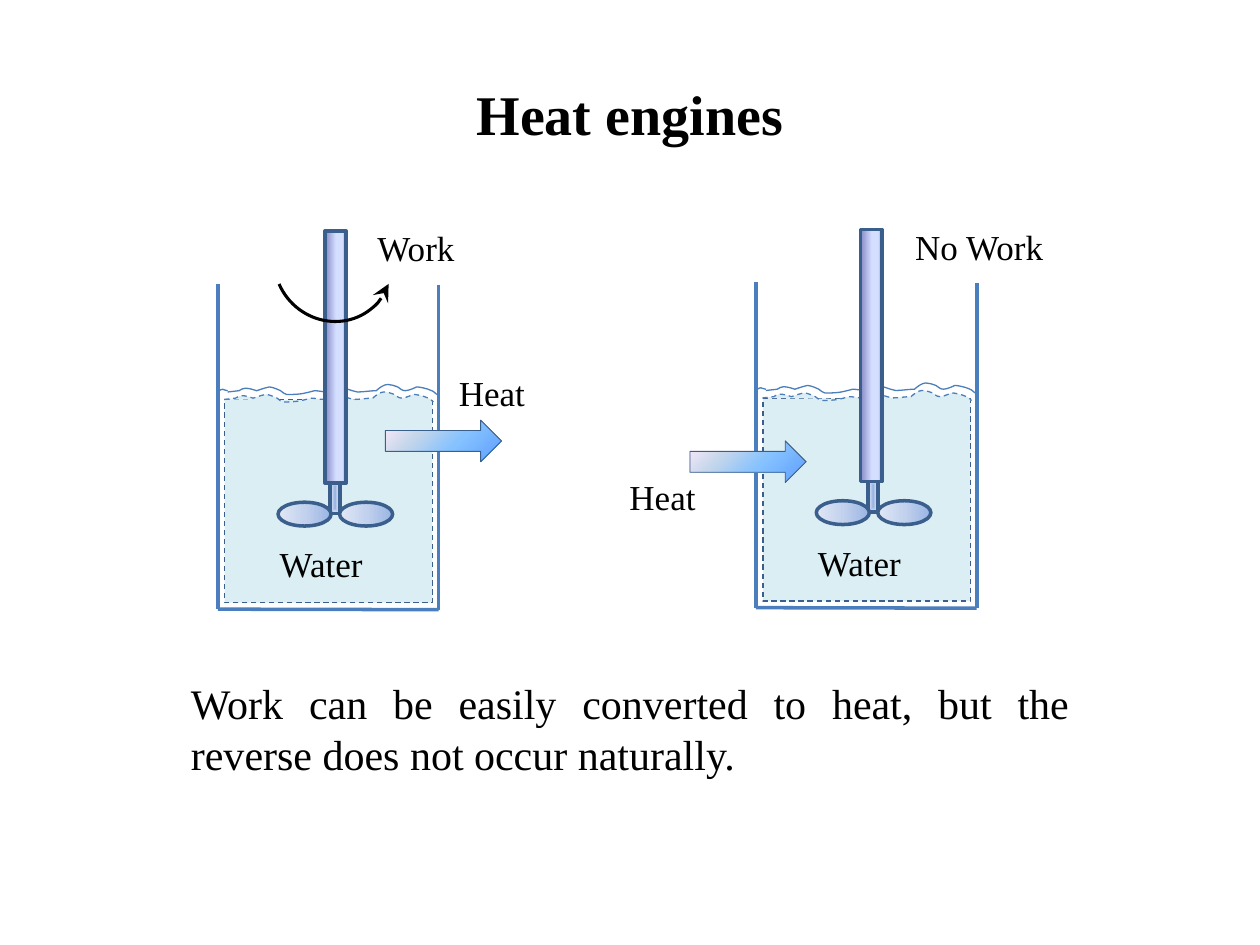
from dataclasses import dataclass, field

from lxml.etree import SubElement
from pptx import Presentation
from pptx.dml.color import RGBColor
from pptx.enum.dml import MSO_LINE_DASH_STYLE as Dash
from pptx.enum.shapes import MSO_CONNECTOR as Connector, MSO_SHAPE as Preset
from pptx.enum.text import PP_ALIGN as Align
from pptx.oxml.ns import qn
from pptx.slide import Slide
from pptx.util import Cm, Pt

COLORS = {"text": "000000", "glass": "4B7EBC", "edge": "3A5F8C", "water": "DBEEF4"}
BLADE = [(0, "9AB5E4"), (50, "C2D1ED"), (100, "E1E8F5")]
SHAFT = [(0, "8488C4"), (53, "D4DEFF"), (83, "D4DEFF"), (100, "96AB94")]
HEAT = [(0, "5E9EFF"), (40, "85C2FF"), (70, "C4D6EB"), (100, "FFEBFA")]
WAVE_UNIT = Cm(0.0254)
WAVE = [
    (0, 6), (3, 6), (6, 5), (9, 5), (11, 4), (12, 3), (14, 3), (17, 3), (20, 4), (23, 5),
    (25, 4), (27, 4), (29, 3), (30, 3), (32, 2), (33, 2), (36, 2), (42, 5), (42, 5),
    (44, 6), (45, 8), (47, 8), (59, 8), (61, 7), (69, 5), (72, 5), (76, 6), (79, 6),
    (85, 6), (88, 5), (93, 3), (95, 4), (97, 4), (99, 5), (100, 5), (102, 6), (103, 6),
    (108, 6), (113, 5), (118, 5), (120, 3), (124, 0), (127, 0), (130, 0), (132, 1), (135, 2),
    (137, 3), (138, 5), (141, 5), (144, 5), (150, 2), (150, 2), (152, 2), (158, 3), (162, 5),
    (163, 5), (166, 8), (166, 8),
]
RIPPLE = [(0, 5), (-5, 4), (-3, 3), (-7, 5)]


@dataclass
class Diagram:
    """Draws styled elements on one slide, with lengths in centimetres."""

    slide: Slide
    font: str = "Times New Roman"
    colors: dict = field(default_factory=lambda: COLORS)

    def text(self, content, left, top, width, height, size=20, align=Align.LEFT, bold=False):
        """Add a wrapped text box."""
        box = self.slide.shapes.add_textbox(Cm(left), Cm(top), Cm(width), Cm(height))
        frame = box.text_frame
        frame.word_wrap = True
        frame.text = content
        paragraph = frame.paragraphs[0]
        paragraph.alignment = align
        font = paragraph.runs[0].font
        font.name, font.size, font.bold = self.font, Pt(size), bold
        font.color.rgb = RGBColor.from_string(self.colors["text"])

    def outline(self, shape, color, width, dashed=False):
        """Set the line of a shape."""
        shape.line.color.rgb = RGBColor.from_string(self.colors[color])
        shape.line.width = Pt(width)
        if dashed:
            shape.line.dash_style = Dash.DASH

    def paint(self, shape, fill):
        """Fill with a named colour, or leave empty, without a shadow."""
        shape.shadow.inherit = False
        if fill:
            shape.fill.solid()
            shape.fill.fore_color.rgb = RGBColor.from_string(self.colors[fill])
        else:
            shape.fill.background()

    def gradient(self, shape, stops, angle=0, path=None, center=()):
        """Fill with a linear gradient, or a path gradient around a centre."""
        shape.fill.gradient()
        fill = shape._element.spPr.find(qn("a:gradFill"))
        for child in list(fill):
            fill.remove(child)
        stop_list = SubElement(fill, qn("a:gsLst"))
        for position, color in stops:
            stop = SubElement(stop_list, qn("a:gs"), pos=str(position * 1000))
            SubElement(stop, qn("a:srgbClr"), val=color)
        if path:
            focus = SubElement(fill, qn("a:path"), path=path)
            sides = {side: str(value * 1000) for side, value in zip("ltrb", center)}
            SubElement(focus, qn("a:fillToRect"), **sides)
        else:
            SubElement(fill, qn("a:lin"), ang=str(angle * 60000), scaled="0")

    def shape(self, preset, left, top, width, height, fill=None, edge="edge", weight=2.0,
              dashed=False, rotation=0):
        """Add a preset shape."""
        shape = self.slide.shapes.add_shape(preset, Cm(left), Cm(top), Cm(width), Cm(height))
        shape.rotation = rotation
        self.paint(shape, fill)
        self.outline(shape, edge, weight, dashed)
        return shape

    def line(self, x1, y1, x2, y2):
        """Add a straight glass wall."""
        line = self.slide.shapes.add_connector(Connector.STRAIGHT, Cm(x1), Cm(y1), Cm(x2), Cm(y2))
        self.outline(line, "glass", 2)
        SubElement(line._element.spPr, qn("a:effectLst"))

    def curve(self, controls, left, top, fill=None, dashed=False):
        """Add an open curve from cubic control points."""
        first, *rest = controls
        builder = self.slide.shapes.build_freeform(*first, scale=WAVE_UNIT)
        builder.add_line_segments(rest, close=False)
        shape = builder.convert_to_shape(Cm(left), Cm(top))
        segments = list(shape._element.iter(qn("a:lnTo")))
        outline = segments[0].getparent()
        for i in range(0, len(segments), 3):
            cubic = SubElement(outline, qn("a:cubicBezTo"))
            for segment in segments[i:i + 3]:
                cubic.append(segment[0])
                outline.remove(segment)
        self.paint(shape, fill)
        self.outline(shape, "glass", 0.75, dashed)

    def beaker(self, x, y, shaft):
        """Add a beaker of water with a paddle, from its upper left corner."""
        right, bottom = x + 4.45, y + 6.56
        self.curve(WAVE, x + 0.2, y + 2.03)
        self.shape(Preset.RECTANGLE, x + 0.14, y + 2.34, 4.19, 4.09, "water", weight=0.75, dashed=True)
        self.line(x, y, x, bottom)
        self.line(right, y + 0.02, right, bottom + 0.01)
        self.line(x, bottom, right, bottom + 0.01)
        hub = self.shape(Preset.RECTANGLE, x + 2.04, y + 4.21, 0.64, 0.2, rotation=90)
        self.gradient(hub, BLADE, path="shape", center=(50, 50, 50, 50))
        for offset in (2.75, 1.51):
            blade = self.shape(Preset.OVAL, x + offset, y + 4.11, 0.48, 1.07, rotation=90)
            self.gradient(blade, BLADE, angle=90)
        self.curve(RIPPLE, x + 0.2, y + 2.03)
        self.curve(WAVE, x + 0.13, y + 2.18, "water", dashed=True)
        rod = self.shape(Preset.RECTANGLE, x + shaft, y - 1.06, 0.43, 5.08)
        self.gradient(rod, SHAFT)
        self.text("Water", x + 1, y + 5.1, 2.97, 1.12)

    def turn_arrow(self, left, top, width, height):
        """Add the curved arrow around the shaft."""
        arc = self.shape(Preset.ARC, left, top, width, height, edge="text", weight=1.75, rotation=141.4)
        arc.adjustments[0], arc.adjustments[1] = 144.085, 9.753
        SubElement(arc.line._get_or_add_ln(), qn("a:headEnd"), type="stealth", w="lg", len="lg")

    def heat_arrow(self, left, top):
        """Add a heat arrow."""
        arrow = self.shape(Preset.RIGHT_ARROW, left, top, 2.34, 0.84, weight=0.5)
        self.gradient(arrow, HEAT, path="circle", center=(100, 100, 0, 0))


def main():
    """Build the slide."""
    presentation = Presentation()
    presentation.slide_width, presentation.slide_height = Cm(25.4), Cm(19.05)
    diagram = Diagram(presentation.slides.add_slide(presentation.slide_layouts[6]))
    diagram.text("Heat engines", 1.27, 1.47, 22.86, 2.46, 32, Align.CENTER, bold=True)

    diagram.beaker(4.39, 5.72, shaft=2.16)
    diagram.turn_arrow(5.54, 4.06, 2.34, 2.44)
    diagram.text("Work", 7.36, 4.45, 3.61, 1.12)
    diagram.text("Heat", 9, 7.37, 2.64, 1.12)
    diagram.heat_arrow(7.77, 8.47)

    diagram.beaker(15.24, 5.69, shaft=2.11)
    diagram.text("No Work", 18.2, 4.42, 3.61, 1.12)
    diagram.text("Heat", 12.44, 9.47, 2.59, 1.12)
    diagram.heat_arrow(13.91, 8.89)

    diagram.text("Work can be easily converted to heat, but the reverse does not occur naturally.",
                 3.6, 13.54, 18.21, 2.31, 24, Align.JUSTIFY)
    presentation.save("out.pptx")


if __name__ == "__main__":
    main()
